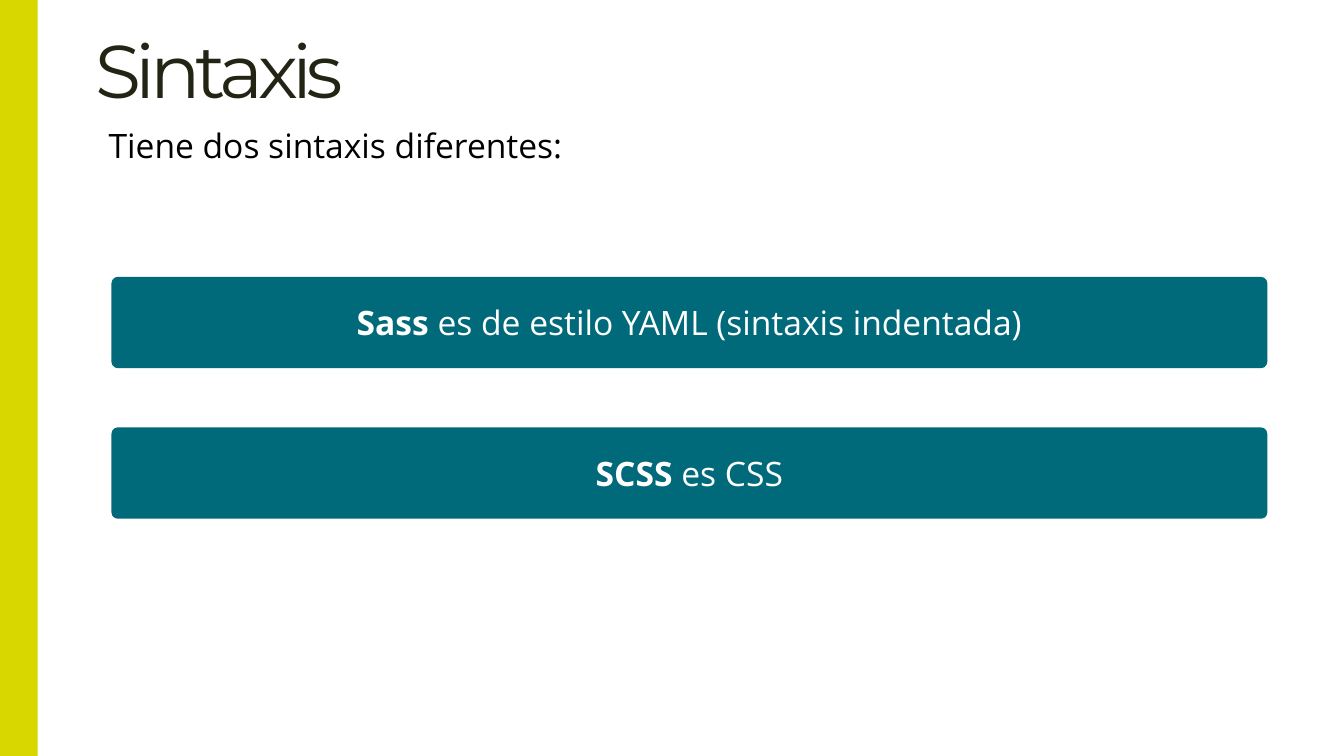
from pptx import Presentation
from pptx.dml.color import RGBColor
from pptx.enum.shapes import MSO_SHAPE
from pptx.enum.text import MSO_ANCHOR, PP_ALIGN
from pptx.util import Inches, Pt

COLORS = {"accent": "D8D800", "panel": "006A7B", "title": "242415",
          "body": "000000", "white": "FFFFFF"}
WIDTH = 10
HEIGHT = WIDTH * 9 / 16


def add_run(p, text, color, size=18, font="Open Sans", bold=False):
    """Append a formatted run to a paragraph and return it."""
    r = p.add_run()
    r.text = text
    r.font.size = Pt(size)
    r.font.name = font
    r.font.bold = bold
    r.font.color.rgb = RGBColor.from_string(COLORS[color])
    return r


def add_block(s, kind, x, y, w, h, color):
    """Add a filled preset shape with no outline or shadow."""
    sp = s.shapes.add_shape(kind, Inches(x), Inches(y), Inches(w), Inches(h))
    sp.shadow.inherit = False
    sp.fill.solid()
    sp.fill.fore_color.rgb = RGBColor.from_string(COLORS[color])
    sp.line.fill.background()
    return sp


def add_text(s, x, y, w, h):
    """Add a wrapping text box and return its text frame."""
    tf = s.shapes.add_textbox(Inches(x), Inches(y), Inches(w), Inches(h)).text_frame
    tf.word_wrap = True
    return tf


def add_title(s, text):
    """Add the tightly spaced slide title."""
    tf = add_text(s, 0.71, 0, 9.02, 0.89)
    tf.margin_left = 0
    tf.vertical_anchor = MSO_ANCHOR.BOTTOM
    r = add_run(tf.paragraphs[0], text, "title", 40, "Montserrat")
    r.font._element.set("spc", "-300")


def add_syntax_panel(s, y, name, description):
    """Add a rounded panel with a bold syntax name and its description."""
    sp = add_block(s, MSO_SHAPE.ROUNDED_RECTANGLE, 0.83, y, 8.6, 0.68, "panel")
    sp.adjustments[0] = 0.07
    tf = sp.text_frame
    tf.word_wrap = True
    tf.vertical_anchor = MSO_ANCHOR.MIDDLE
    p = tf.paragraphs[0]
    p.alignment = PP_ALIGN.CENTER
    add_run(p, name + " ", "white", bold=True)
    add_run(p, description, "white")


def main():
    """Build and save the slide."""
    prs = Presentation()
    prs.slide_width, prs.slide_height = Inches(WIDTH), Inches(HEIGHT)
    s = prs.slides.add_slide(prs.slide_layouts[6])
    add_title(s, "Sintaxis")
    add_block(s, MSO_SHAPE.RECTANGLE, 0, 0, 0.28, HEIGHT, "accent")
    tf = add_text(s, 0.71, 0.88, 8.95, 0.4)
    add_run(tf.paragraphs[0], "Tiene dos sintaxis diferentes:", "body")
    syntaxes = [("Sass", "es de estilo YAML (sintaxis indentada)"),
                ("SCSS", "es CSS")]
    for i, (name, description) in enumerate(syntaxes):
        add_syntax_panel(s, 2.06 + 1.12 * i, name, description)
    prs.save("out.pptx")


if __name__ == "__main__":
    main()
